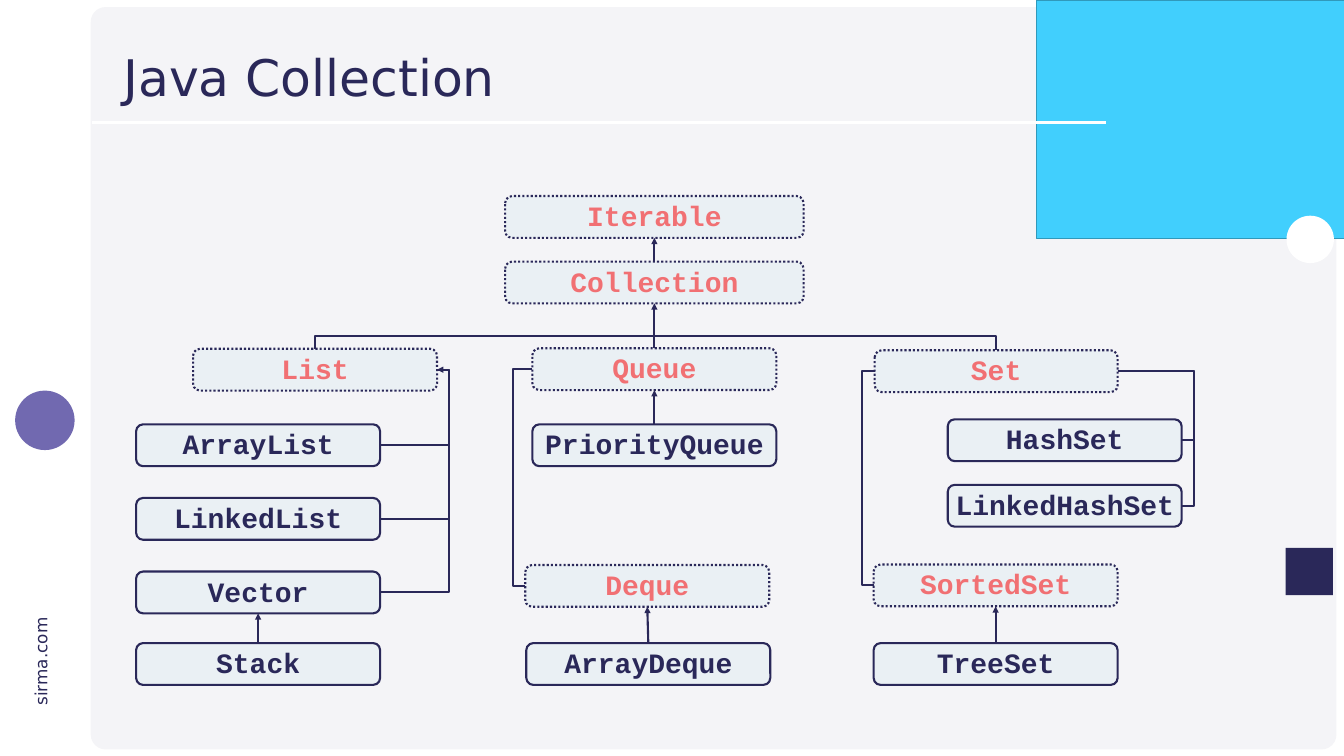
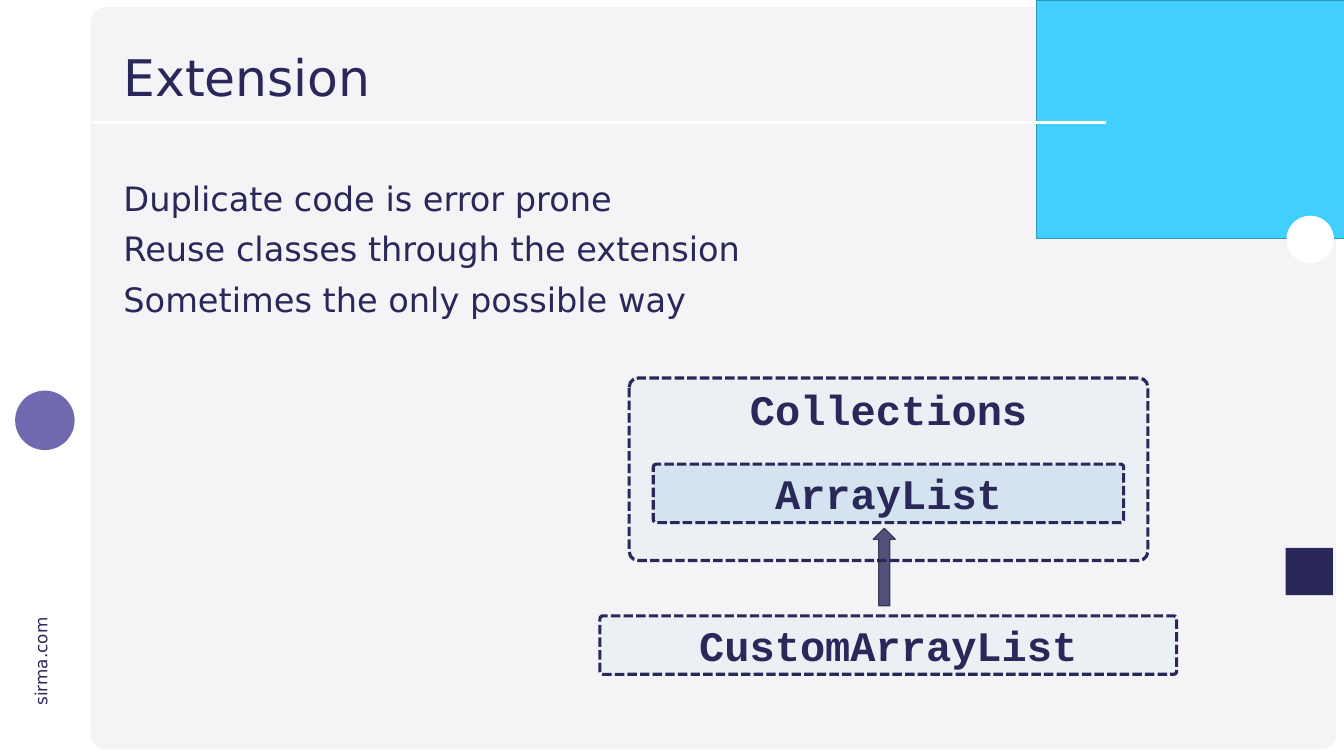
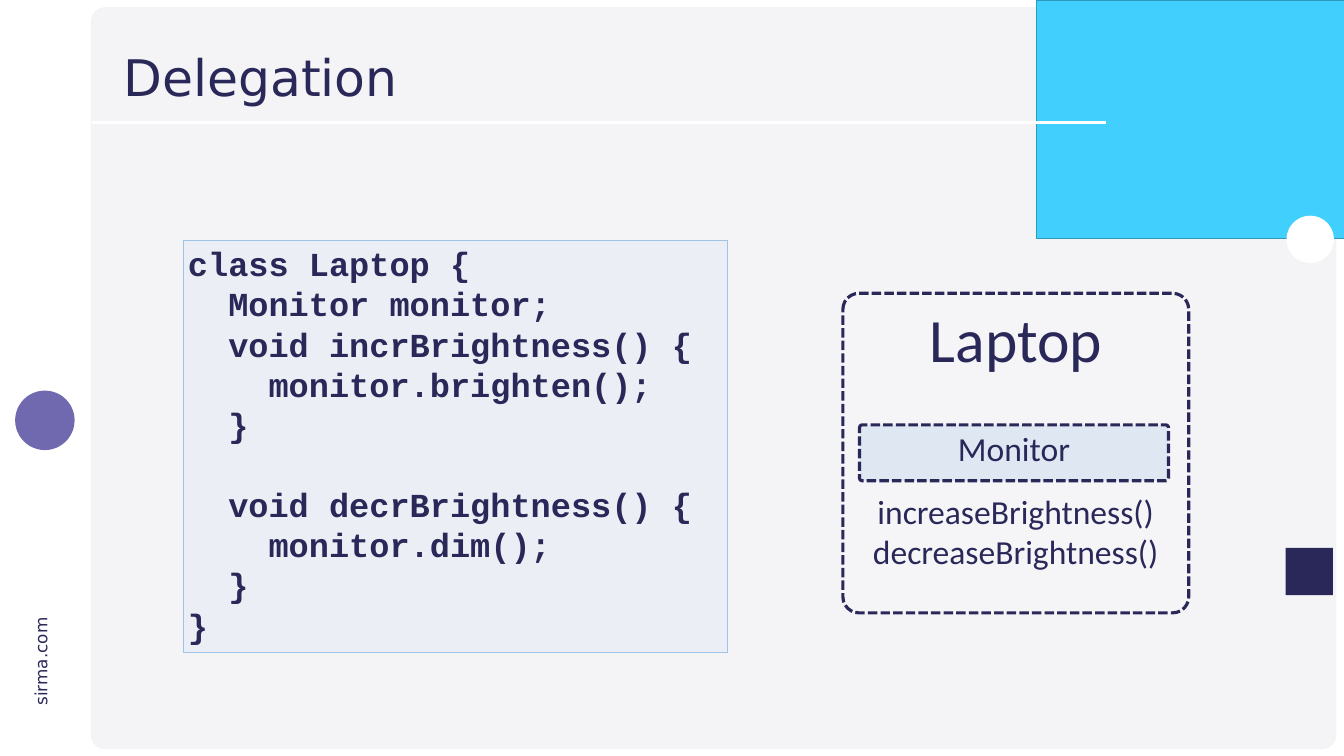
from lxml.etree import SubElement
from pptx import Presentation
from pptx.dml.color import RGBColor
from pptx.enum.dml import MSO_LINE
from pptx.enum.shapes import MSO_CONNECTOR, MSO_SHAPE
from pptx.enum.text import MSO_ANCHOR, PP_ALIGN
from pptx.oxml.ns import qn
from pptx.util import Inches, Pt

COLORS = {
    "navy": "2A2859", "deep navy": "1F1E43", "panel": "F4F4F7", "white": "FFFFFF",
    "cyan": "41CFFD", "cyan edge": "3099BB", "violet": "7169B0", "coral": "F17073",
    "ice": "B5DBE5", "blue": "5B9BD5", "code": "BDD7EE", "code edge": "9DC3E6",
}
HEADING, CODE, PLAIN = "DejaVu Sans", "Courier New", "Calibri"

# The slide is a grid of 26.66 columns by 15 rows of square cells.
CELL = Inches(1)
COLUMNS, ROWS = 26.66, 15


def add_box(slide, preset, at, fill, alpha=100, line=None, points=1, dash=None, corner=None):
    """Add a preset shape at (column, row, columns wide, rows high); alpha is a percentage."""
    shape = slide.shapes.add_shape(preset, *(int(length * CELL) for length in at))
    shape.shadow.inherit = False
    shape.fill.solid()
    shape.fill.fore_color.rgb = RGBColor.from_string(COLORS[fill])
    if alpha < 100:
        color = shape._element.spPr.find(qn("a:solidFill"))[0]
        SubElement(color, qn("a:alpha"), val=str(alpha * 1000))
    if line:
        shape.line.color.rgb = RGBColor.from_string(COLORS[line])
        shape.line.width = Pt(points)
        shape.line.dash_style = dash
    else:
        shape.line.fill.background()
    if corner is not None:
        shape.adjustments[0] = corner
    return shape


def write(shape, text, size, font, color="navy", bold=False, align=PP_ALIGN.LEFT,
          anchor=MSO_ANCHOR.TOP, wrap=True, spacing=None):
    frame = shape.text_frame
    frame.text = text
    frame.word_wrap = wrap
    frame.vertical_anchor = anchor
    for paragraph in frame.paragraphs:
        paragraph.alignment = align
        paragraph.line_spacing = spacing
        for run in paragraph.runs:
            run.font.size = Pt(size)
            run.font.name = font
            run.font.bold = bold
            run.font.color.rgb = RGBColor.from_string(COLORS[color])
    return frame.paragraphs


presentation = Presentation()
presentation.slide_width = int(COLUMNS * CELL)
presentation.slide_height = ROWS * CELL
blank = presentation.slide_layouts[6]

# Shared frame: panel, corner block, title with its rule, side ornaments, address
slides = []
connectors = []
for title in ("Java Collection", "Extension", "Delegation"):
    slide = presentation.slides.add_slide(blank)
    slides.append(slide)
    add_box(slide, MSO_SHAPE.ROUNDED_RECTANGLE, (1.8, 0.14, 24.71, 14.73), "panel", corner=0.02)
    address = slide.shapes.add_textbox(
        *(int(length * CELL) for length in (-0.18, 12.86, 1.97, 0.5)))
    address.rotation = 270
    write(address, "sirma.com", 24, HEADING, wrap=False)
    add_box(slide, MSO_SHAPE.RECTANGLE, (20.56, 0, 6.1, 4.73), "cyan", line="cyan edge")
    add_box(slide, MSO_SHAPE.RECTANGLE, (1.83, 0.53, 18.34, 2.38), "panel")
    rule = slide.shapes.add_connector(
        MSO_CONNECTOR.STRAIGHT, *(int(length * CELL) for length in (1.83, 2.43, 21.93, 2.43)))
    connectors.append((rule, "white", False))
    add_box(slide, MSO_SHAPE.RECTANGLE, (25.5, 10.87, 0.94, 0.94), "navy")
    add_box(slide, MSO_SHAPE.OVAL, (0.3, 7.75, 1.18, 1.18), "violet")
    add_box(slide, MSO_SHAPE.OVAL, (25.52, 4.28, 0.94, 0.94), "white")
    title_box = slide.shapes.add_textbox(
        *(int(length * CELL) for length in (2.35, 0.8, 19.57, 1.58)))
    write(title_box, title, 72, HEADING, anchor=MSO_ANCHOR.MIDDLE, spacing=0.9)

hierarchy, extension, delegation = slides

# Collection hierarchy: name, column, row, columns wide
WIDE, NORMAL, NARROW = 5.92, 4.84, 4.64
interfaces = [
    ("Iterable", 10.02, 3.89, WIDE), ("Collection", 10.02, 5.19, WIDE),
    ("List", 3.83, 6.92, NORMAL), ("Queue", 10.56, 6.91, NORMAL), ("Set", 17.35, 6.95, 4.82),
    ("Deque", 10.42, 11.21, NORMAL), ("SortedSet", 17.33, 11.2, NORMAL),
]
classes = [
    ("ArrayList", 2.7, 8.42, NORMAL), ("LinkedList", 2.7, 9.88, NORMAL),
    ("Vector", 2.7, 11.34, NORMAL), ("Stack", 2.7, 12.76, NORMAL),
    ("PriorityQueue", 10.56, 8.42, NORMAL), ("ArrayDeque", 10.44, 12.76, NORMAL),
    ("HashSet", 18.8, 8.32, NARROW), ("LinkedHashSet", 18.8, 9.62, NARROW),
    ("TreeSet", 17.33, 12.76, NORMAL),
]
nodes = {}
for group, color, dash in ((interfaces, "coral", MSO_LINE.ROUND_DOT), (classes, "navy", None)):
    for name, column, row, width in group:
        nodes[name] = add_box(hierarchy, MSO_SHAPE.ROUNDED_RECTANGLE, (column, row, width, 0.83),
                              "ice", 15, "navy", 3, dash)
        write(nodes[name], name, 40, CODE, color, True, PP_ALIGN.CENTER,
              MSO_ANCHOR.MIDDLE, False, 0.95)

for child, parent in (("Collection", "Iterable"), ("Queue", "Collection"),
                      ("PriorityQueue", "Queue"), ("ArrayDeque", "Deque"),
                      ("Stack", "Vector"), ("TreeSet", "SortedSet")):
    arrow = hierarchy.shapes.add_connector(MSO_CONNECTOR.STRAIGHT, 0, 0, 0, 0)
    arrow.begin_connect(nodes[child], 0)
    arrow.end_connect(nodes[parent], 2)
    connectors.append((arrow, "navy", True))

# Elbows leave and enter on the same side and turn at the bus column
elbows = []
for start, end, side, bus, has_head in (
        ("Vector", "List", "right", 8.91, True), ("ArrayList", "List", "right", 8.91, False),
        ("LinkedList", "List", "right", 8.91, False), ("Queue", "Deque", "left", 10.17, False),
        ("Set", "SortedSet", "left", 17.1, False), ("Set", "HashSet", "right", 23.69, False),
        ("Set", "LinkedHashSet", "right", 23.69, False)):
    (start_x, start_y), (end_x, end_y) = (
        (node.left + (node.width if side == "right" else 0), node.top + node.height // 2)
        for node in (nodes[start], nodes[end]))
    elbow = hierarchy.shapes.add_connector(MSO_CONNECTOR.ELBOW, start_x, start_y, end_x, end_y)
    elbows.append((elbow, (bus * CELL - start_x) / (end_x - start_x)))
    connectors.append((elbow, "navy", has_head))

# The List to Set elbow runs up first, so it is laid out sideways and turned
start_x, end_x = (nodes[name].left + nodes[name].width // 2 for name in ("List", "Set"))
start_y, end_y = nodes["List"].top, nodes["Set"].top
middle_x, middle_y = (start_x + end_x) // 2, (start_y + end_y) // 2
half_run, half_drop = (end_x - start_x) // 2, (end_y - start_y) // 2
branch = hierarchy.shapes.add_connector(
    MSO_CONNECTOR.ELBOW, middle_x + half_drop, middle_y - half_run,
    middle_x - half_drop, middle_y + half_run)
branch._element.spPr.find(qn("a:xfrm")).set("rot", str(270 * 60000))
elbows.append((branch, (6.67 * CELL - start_y) / (end_y - start_y)))
connectors.append((branch, "navy", False))

for elbow, turn in elbows:
    geometry = elbow._element.spPr.find(qn("a:prstGeom"))
    guides = geometry.find(qn("a:avLst"))
    if guides is None:
        guides = SubElement(geometry, qn("a:avLst"))
    SubElement(guides, qn("a:gd"), name="adj1", fmla=f"val {round(turn * 100000)}")

for connector, color, has_head in connectors:
    connector.line.color.rgb = RGBColor.from_string(COLORS[color])
    connector.line.width = Pt(3)
    properties = connector._element.spPr
    if has_head:
        SubElement(properties.find(qn("a:ln")), qn("a:tailEnd"), type="triangle")
    SubElement(properties, qn("a:effectLst"))

# Extension
body = extension.shapes.add_textbox(*(int(length * CELL) for length in (2.35, 3.57, 22.99, 10.32)))
points = write(body, "Duplicate code is error prone\nReuse classes through the extension\n"
               "Sometimes the only possible way", 48, HEADING, spacing=0.9)
for paragraph in points[1:]:
    paragraph.space_before = Pt(20)

for name, at, fill in (("Collections", (12.48, 7.5, 10.29, 3.62), "ice"),
                       ("ArrayList", (12.96, 9.21, 9.33, 1.16), "blue"),
                       ("CustomArrayList", (11.9, 12.22, 11.44, 1.16), "ice")):
    box = add_box(extension, MSO_SHAPE.ROUNDED_RECTANGLE, at, fill, 15, "navy", 4.5,
                  MSO_LINE.SQUARE_DOT, 0.05)
    write(box, name, 60, CODE, bold=True, align=PP_ALIGN.CENTER)
inherits = add_box(extension, MSO_SHAPE.DOWN_ARROW, (17.32, 10.48, 0.44, 1.54), "navy", 80,
                   "deep navy", 1.5)
inherits.rotation = 180
edge_color = inherits._element.spPr.find(qn("a:ln")).find(qn("a:solidFill"))[0]
SubElement(edge_color, qn("a:alpha"), val="80000")

# Delegation
listing = add_box(delegation, MSO_SHAPE.RECTANGLE, (3.63, 4.77, 10.8, 8.18), "code", 15, "code edge")
code_lines = write(listing, """class Laptop {
  Monitor monitor;
  void incrBrightness() {
    monitor.brighten();
  }
  void decrBrightness() {
    monitor.dim();
  }
}""", 48, CODE, bold=True)
code_lines[5].space_before = Pt(56)

laptop, monitor = (
    add_box(delegation, MSO_SHAPE.ROUNDED_RECTANGLE, at, fill, 15, "navy", 4.5,
            MSO_LINE.SQUARE_DOT, 0.05)
    for at, fill in (((16.72, 5.82, 6.86, 6.34), "white"), ((17.05, 8.43, 6.13, 1.11), "blue")))
members = write(laptop, "Laptop\nincreaseBrightness()\ndecreaseBrightness()", 48, PLAIN,
                align=PP_ALIGN.CENTER)
members[0].runs[0].font.size = Pt(88)
members[1].space_before = Pt(166)
write(monitor, "Monitor", 48, PLAIN, align=PP_ALIGN.CENTER)

presentation.save("out.pptx")
